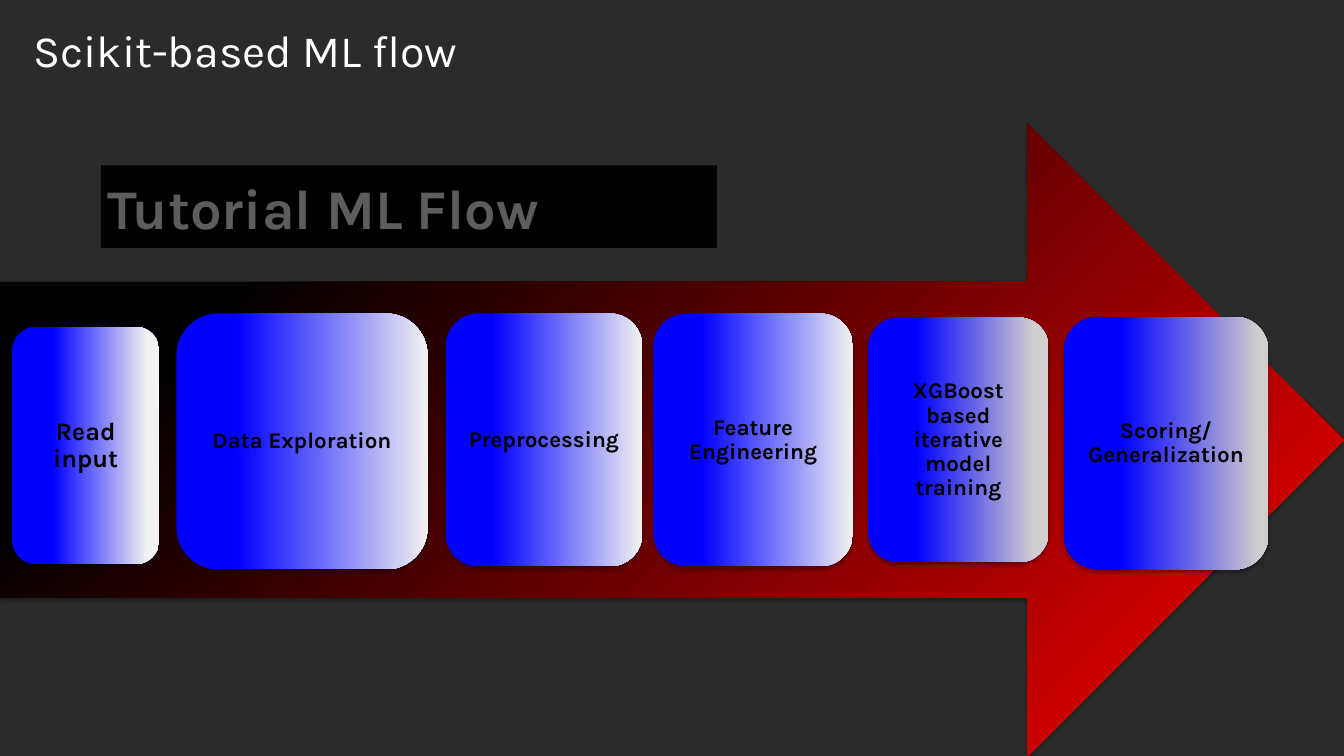
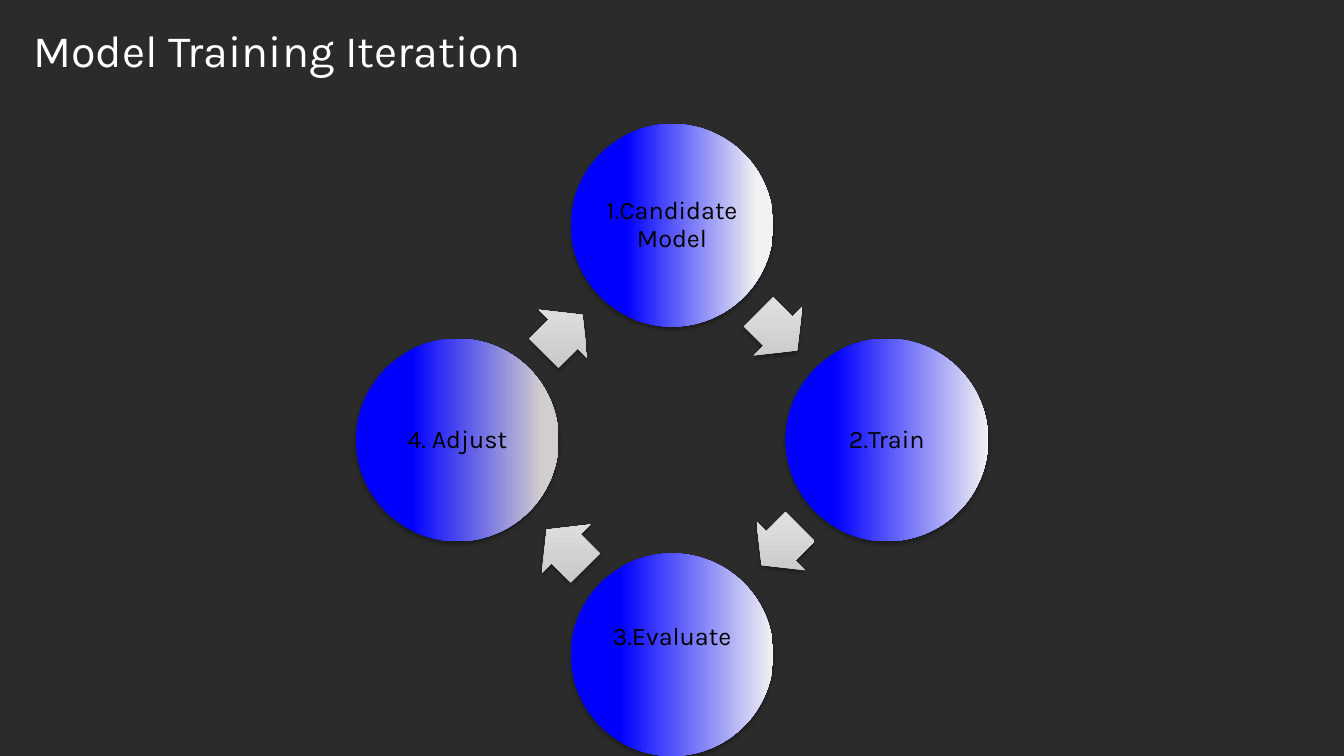
from math import cos, radians, sin, sqrt

from lxml.etree import SubElement
from pptx import Presentation
from pptx.dml.color import RGBColor
from pptx.enum.shapes import MSO_SHAPE
from pptx.enum.text import MSO_ANCHOR, PP_ALIGN
from pptx.oxml.ns import qn
from pptx.util import Emu, Inches, Pt

WIDE, HIGH = 13.33, 7.5


class Theme:
    font = "Karla"
    back, white, black = "2B2B2B", "FFFFFF", "000000"
    title, banner, large, small = 32, 40, 18, 16
    sweep = [(0, "FF0000"), (80, "000000")]
    metal = [(0, "C6C4C4"), (100, "E6E3E3")]
    ink = [(0, "555555"), (49, "5D5D5D"), (50, "000000"), (100, "000000")]
    first = [(27, "0000FF"), (92, "F2F2F2")]
    plain = [(24, "0000FF"), (100, "F2F2F2")]
    grey = [(27, "0000FF"), (92, "D2CECE")]
    final = [(28, "0000FF"), (96, "D2CECE")]


FLOW = "Scikit-based ML flow"
BANNER = "Tutorial ML Flow"
# label, (left, top, width, height), fill, type size
STEPS = [
    ("Read input", (0.12, 3.24, 1.46, 2.36), Theme.first, Theme.large),
    ("Data Exploration", (1.75, 3.11, 2.49, 2.54), Theme.plain, Theme.small),
    ("Preprocessing", (4.42, 3.11, 1.95, 2.51), Theme.plain, Theme.small),
    ("Feature Engineering", (6.48, 3.11, 1.98, 2.51), Theme.plain, Theme.small),
    ("XGBoost based iterative model training", (8.61, 3.15, 1.79, 2.43),
     Theme.grey, Theme.small),
    ("Scoring/Generalization", (10.55, 3.14, 2.03, 2.51), Theme.final, Theme.small),
]

CYCLE = "Model Training Iteration"
# label, fill, extra inset at the bottom
STAGES = [
    ("1.Candidate Model", Theme.first, 0),
    ("2.Train", Theme.plain, 0),
    ("3.Evaluate", Theme.plain, 0.35),
    ("4. Adjust", Theme.grey, 0),
]
TOP = 1.23
DISC = 2.01
RING = (HIGH - TOP - DISC) / 2
MID = (WIDE / 2, (TOP + HIGH) / 2)
HEAD = (0.54, 0.68)
LAG = 0.02


def rgb(tone):
    return RGBColor.from_string(tone)


def blend(fill, props, stops, angle=None):
    """Gradient at a fixed angle, or spreading from the lower right corner."""
    fill.gradient()
    grad = props.find(qn("a:gradFill"))
    grad.set("rotWithShape", "0")
    for part in list(grad):
        grad.remove(part)
    row = SubElement(grad, qn("a:gsLst"))
    for spot, tone in stops:
        stop = SubElement(row, qn("a:gs"), pos=str(spot * 1000))
        SubElement(stop, qn("a:srgbClr"), val=tone)
    if angle is None:
        way = SubElement(grad, qn("a:path"), path="circle")
        SubElement(way, qn("a:fillToRect"), l="100000", t="100000")
    else:
        SubElement(grad, qn("a:lin"), ang=str(angle * 60000), scaled="0")


def shade(shape):
    shape.shadow.inherit = False
    glow = shape._element.spPr.find(qn("a:effectLst"))
    drop = SubElement(glow, qn("a:outerShdw"), blurRad=str(Pt(3.1)),
                      dist=str(Pt(1.8)), dir="5400000", rotWithShape="0")
    tone = SubElement(drop, qn("a:srgbClr"), val=Theme.black)
    SubElement(tone, qn("a:alpha"), val="35000")


def form(slide, kind, box, stops, angle=None):
    shape = slide.shapes.add_shape(kind, *map(Inches, box))
    shape.line.fill.background()
    blend(shape.fill, shape._element.spPr, stops, angle)
    shade(shape)
    return shape


def write(shape, text, size, tone=Theme.black, bold=False, inset=0.07, foot=0,
          align=PP_ALIGN.CENTER, anchor=MSO_ANCHOR.MIDDLE, lead=0.9):
    frame = shape.text_frame
    look = {"word_wrap": True, "vertical_anchor": anchor,
            "margin_left": Inches(inset), "margin_right": Inches(inset),
            "margin_top": Inches(inset), "margin_bottom": Inches(inset + foot)}
    for name, value in look.items():
        setattr(frame, name, value)
    para = frame.paragraphs[0]
    para.alignment, para.line_spacing = align, lead
    run = para.add_run()
    run.text = text
    for name, value in {"name": Theme.font, "size": Pt(size), "bold": bold}.items():
        setattr(run.font, name, value)
    run.font.color.rgb = rgb(tone)
    return run


def start(deck, title):
    slide = deck.slides.add_slide(deck.slide_layouts[6])
    box = slide.shapes.add_textbox(*map(Inches, (0.33, 0.29, 6, 6.55)))
    write(box, title, Theme.title, Theme.white, inset=0,
          align=PP_ALIGN.LEFT, anchor=MSO_ANCHOR.TOP)
    return slide


def draw_flow(deck):
    slide = start(deck, FLOW)
    form(slide, MSO_SHAPE.RIGHT_ARROW, (0, TOP, WIDE, HIGH - TOP), Theme.sweep)
    for label, box, stops, size in STEPS:
        step = form(slide, MSO_SHAPE.ROUNDED_RECTANGLE, box, stops, 0)
        write(step, label, size, bold=True)

    sign = slide.shapes.add_shape(MSO_SHAPE.RECTANGLE,
                                  *map(Inches, (1, 1.64, 6.11, 0.82)))
    sign.shadow.inherit = False
    sign.fill.solid()
    sign.fill.fore_color.rgb = rgb(Theme.black)
    sign.line.fill.background()
    run = write(sign, BANNER, Theme.banner, bold=True, align=PP_ALIGN.LEFT, lead=1.0)
    props = run._r.get_or_add_rPr()
    blend(run.font.fill, props, Theme.ink, 90)
    edge = SubElement(props, qn("a:ln"), w=str(Pt(1.4)))
    SubElement(SubElement(edge, qn("a:solidFill")), qn("a:srgbClr"), val=Theme.white)
    props.insert(0, edge)


def polar(reach, angle, hub):
    return (hub[0] + reach * cos(radians(angle)),
            hub[1] + reach * sin(radians(angle)))


def around(spot, wide, high):
    return spot[0] - wide / 2, spot[1] - high / 2, wide, high


def draw_cycle(deck):
    slide = start(deck, CYCLE)
    for i, (label, stops, foot) in enumerate(STAGES):
        angle = i * 360 / len(STAGES) - 90
        disc = form(slide, MSO_SHAPE.OVAL,
                    around(polar(RING, angle, MID), DISC, DISC), stops, 0)
        write(disc, label, Theme.large, inset=0.03, foot=foot)

        turn = angle + 135
        spot = polar(-LAG, turn, polar(RING / sqrt(2), angle + 45, MID))
        arrow = form(slide, MSO_SHAPE.RIGHT_ARROW, around(spot, *HEAD),
                     Theme.metal, 270)
        arrow.rotation = turn
        arrow.adjustments[0], arrow.adjustments[1] = 0.6, 0.5


def main():
    deck = Presentation()
    deck.slide_width, deck.slide_height = Emu(Inches(WIDE)), Emu(Inches(HIGH))
    back = deck.slide_master.background.fill
    back.solid()
    back.fore_color.rgb = rgb(Theme.back)
    draw_flow(deck)
    draw_cycle(deck)
    deck.save("out.pptx")


if __name__ == "__main__":
    main()
